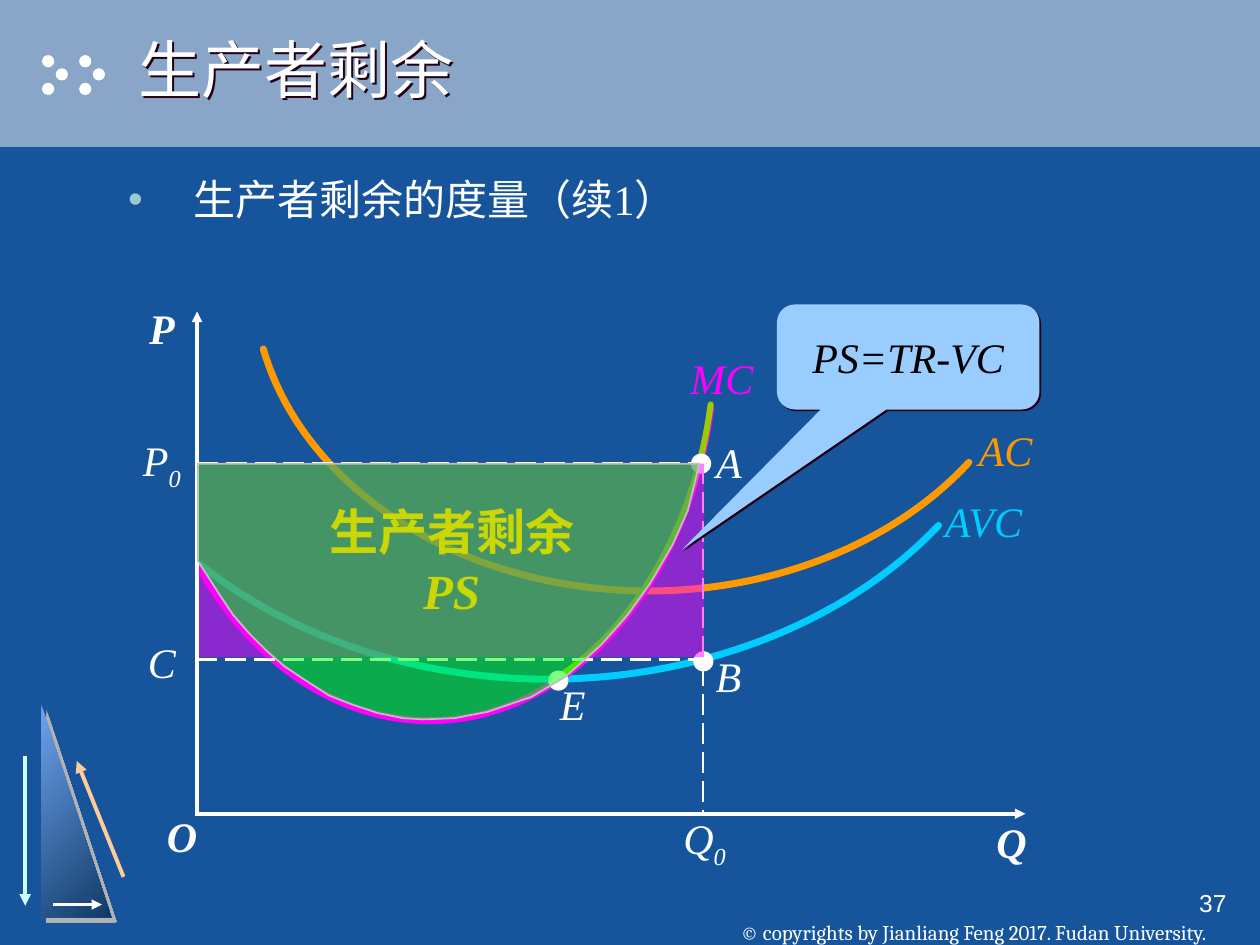
from lxml import etree
from pptx import Presentation
from pptx.dml import color as dml
from pptx.enum import dml as styles, shapes, text
from pptx.oxml import ns
from pptx.util import Pt

NAVY = dml.RGBColor(0x16, 0x55, 0x9B)
BAND = dml.RGBColor(0x89, 0xA5, 0xC7)
WHITE = dml.RGBColor(0xFF, 0xFF, 0xFF)
BLACK = dml.RGBColor(0, 0, 0)
PLUM = dml.RGBColor(0x22, 0, 0x11)
GREY = dml.RGBColor(0xB2, 0xB2, 0xB2)
SILVER = dml.RGBColor(0xC0, 0xC0, 0xC0)
SKY = dml.RGBColor(0x6F, 0xA2, 0xED)
DEEP = dml.RGBColor(0x0F, 0x3A, 0x68)
ICE = dml.RGBColor(0xCC, 0xFF, 0xFF)
PEACH = dml.RGBColor(0xFF, 0xCC, 0x99)
CYAN = dml.RGBColor(0, 0xCC, 0xFF)
ORANGE = dml.RGBColor(0xFF, 0x99, 0)
MAGENTA = dml.RGBColor(0xFF, 0, 0xFF)
OLIVE = dml.RGBColor(0x99, 0xCC, 0)
GREEN = dml.RGBColor(0, 0xFF, 0)
LIME = dml.RGBColor(0xCA, 0xD7, 0x04)
PALE = dml.RGBColor(0x99, 0xCC, 0xFF)
SERIF = "Times New Roman"

AVC = [(464.4, 144.2), (412.6, 199), (329.8, 232.1), (241.2, 232.1),
       (166.3, 232.1), (94.3, 208.3), (42.5, 166.6)]
AC = [(481.7, 108.2), (439.2, 154.3), (370.8, 181.7), (298.8, 181.7),
      (193.7, 181.7), (102.2, 124.8), (78.5, 43.4)]
MC = [(334.1, 77.3), (320.4, 180.2), (252.7, 255.8), (173.5, 255.8),
      (121.7, 255.8), (72.7, 223.4), (41.8, 168)]
SUPPLY = [(334.1, 75.1), (325.4, 142.8), (292.3, 201.1), (245.5, 232.1)]
SURPLUS = [(41, 109), (327.6, 109), (321.1, 135.6), (312.5, 155), (299.5, 177.4),
           (286.6, 195.4), (271.4, 212.6), (251.3, 230.6), (231.8, 242.2),
           (206.6, 250.8), (187.9, 254.4), (169.9, 255.1), (158.4, 254.4),
           (144, 251.5), (128.9, 246.5), (115.9, 241.4), (103.7, 233.5),
           (90.7, 224.9), (80.6, 216.2), (70.6, 206.2), (61.2, 195.4),
           (54, 184.6), (41, 164.4)]


def add_child(parent, tag, **attributes):
    """Append a DrawingML child element."""
    return etree.SubElement(parent, ns.qn("a:" + tag), attributes)


def cast_shadow(shape, color, distance):
    """Give a shape a hard shadow at 45 degrees."""
    shape_props = shape._element.spPr
    effects = shape_props.find(ns.qn("a:effectLst"))
    if effects is None:
        effects = add_child(shape_props, "effectLst")
    shadow = add_child(effects, "outerShdw", blurRad="0", dist=str(Pt(distance)),
                       dir="2700000", algn="ctr", rotWithShape="0")
    add_child(shadow, "srgbClr", val=str(color))


def add_shape(page, kind, left, top, width, height, color, alpha=None):
    """Add a borderless, shadowless filled shape."""
    shape = page.shapes.add_shape(kind, Pt(left), Pt(top), Pt(width), Pt(height))
    shape.shadow.inherit = False
    shape.line.fill.background()
    paint(shape, color, alpha)
    return shape


def paint(shape, color, alpha=None):
    """Fill a shape, optionally with an opacity in percent."""
    shape.fill.solid()
    shape.fill.fore_color.rgb = color
    if alpha:
        tint = shape._element.spPr.find(ns.qn("a:solidFill"))[0]
        add_child(tint, "alpha", val=str(alpha * 1000))


def add_line(page, start, end, color, width, arrow=False, dashed=False):
    """Add a straight line between two points."""
    line = page.shapes.add_connector(shapes.MSO_CONNECTOR.STRAIGHT,
                                     *(Pt(value) for value in (*start, *end)))
    line.line.color.rgb = color
    line.line.width = Pt(width)
    if dashed:
        line.line.dash_style = styles.MSO_LINE.LONG_DASH
    if arrow:
        add_child(line.line._get_or_add_ln(), "tailEnd", type="triangle")
    add_child(line._element.spPr, "effectLst")


def add_outline(page, box, points, color, width, closed=False):
    """Add an unfilled freeform with points relative to the box."""
    spots = [(Pt(x), Pt(y)) for x, y in points]
    builder = page.shapes.build_freeform(*spots[0])
    builder.add_line_segments(spots[1:], close=closed)
    shape = builder.convert_to_shape(Pt(box[0]), Pt(box[1]))
    shape.shadow.inherit = False
    shape.fill.background()
    shape.line.color.rgb = color
    shape.line.width = Pt(width)
    return shape


def add_curve(page, box, controls, color, width):
    """Add a smooth open curve through cubic control points."""
    shape = add_outline(page, box, controls, color, width)
    shape.line._get_or_add_ln().set("cap", "rnd")
    steps = list(shape._element.spPr.iter(ns.qn("a:lnTo")))
    track = steps[0].getparent()
    for first in range(0, len(steps), 3):
        cubic = add_child(track, "cubicBezTo")
        for step in steps[first:first + 3]:
            cubic.append(step[0])
            track.remove(step)


def format_span(span, size, font, color, bold=False, italic=False):
    """Set the look of one run."""
    span.font.size = Pt(size)
    span.font.name = font
    span.font.color.rgb = color
    span.font.bold = bold
    span.font.italic = italic


def add_text(page, left, top, width, height, words, size, font, color, align=None, **style):
    """Add an unwrapped text box with one formatted line."""
    box = page.shapes.add_textbox(Pt(left), Pt(top), Pt(width), Pt(height))
    box.text_frame.word_wrap = False
    para = box.text_frame.paragraphs[0]
    para.text = words
    para.alignment = align
    format_span(para.runs[0], size, font, color, **style)
    return box


def place(holder, left, top, width, height):
    """Move a placeholder to a box."""
    holder.left, holder.top, holder.width, holder.height = map(Pt, (left, top, width, height))


def draw_header(page, left, top, width, height):
    """Draw the band, its dots and the title."""
    add_shape(page, shapes.MSO_SHAPE.RECTANGLE, left, top, width, height, BAND)
    for start in (24, 45.2):
        for x, y in ((0, 0), (7.8, 7.5), (0, 15.8)):
            add_shape(page, shapes.MSO_SHAPE.OVAL, left + start + x, top + 31.5 + y, 7, 7, WHITE)
    title = page.shapes.title
    place(title, left + 72, top, width - 72, 78)
    title._element.getparent().append(title._element)
    title.fill.background()
    cast_shadow(title, PLUM, 1.4)
    title.text_frame.text = "生产者剩余"
    title.text_frame.vertical_anchor = text.MSO_ANCHOR.MIDDLE
    para = title.text_frame.paragraphs[0]
    para.alignment = text.PP_ALIGN.LEFT
    format_span(para.runs[0], 36, "Arial", WHITE)


def draw_body(page, left, top, width, height):
    """Fill the body placeholder with its bullet line."""
    body = page.placeholders[1]
    place(body, left, top, width, height)
    body.text_frame.text = "生产者剩余的度量（续1）"
    para = body.text_frame.paragraphs[0]
    para.space_before = Pt(0)
    props = para._p.get_or_add_pPr()
    props.set("marL", str(Pt(37.5)))
    props.set("indent", str(Pt(-37.5)))
    add_child(add_child(props, "buClr"), "srgbClr", val="99CCCC")
    add_child(props, "buChar", char="•")
    format_span(para.runs[0], 24, SERIF, WHITE)


def draw_ornament(page, left, top, width, height):
    """Draw the shaded triangle with its three arrows."""
    wedge = add_shape(page, shapes.MSO_SHAPE.RIGHT_TRIANGLE, left, top, width, height, SKY)
    wedge.fill.gradient()
    wedge.fill.gradient_angle = 315
    for stop, color in zip(wedge.fill.gradient_stops, (SKY, DEEP)):
        stop.color.rgb = color
    cast_shadow(wedge, GREY, 4.2)
    for start, end, color, weight in (((-9.2, 29.4), (-9.2, 115), ICE, 2.25),
                                      ((47, 98.5), (20.3, 32.3), PEACH, 2.25),
                                      ((6.8, 114.3), (34.7, 114.3), WHITE, 1.5)):
        add_line(page, (left + start[0], top + start[1]), (left + end[0], top + end[1]),
                 color, weight, arrow=True)


def draw_footer(page, left, top, width, height):
    """Write the copyright line and the page number."""
    credit = add_text(page, left, top, width, height,
                      "© copyrights by Jianliang Feng 2017. Fudan University.",
                      12, "Cambria", WHITE, text.PP_ALIGN.CENTER)
    credit.text_frame.vertical_anchor = text.MSO_ANCHOR.BOTTOM
    credit.text_frame.margin_top = credit.text_frame.margin_bottom = Pt(0)
    add_text(page, left + 166.6, top, 150, height, "37", 14, "Arial", WHITE, text.PP_ALIGN.RIGHT)


def draw_diagram(page, left, top):
    """Draw the cost curves, the surplus area and their labels."""
    box = (left, top)
    for controls, color, weight in ((AVC, CYAN, 4), (AC, ORANGE, 4),
                                    (MC, MAGENTA, 4), (SUPPLY, OLIVE, 3.5)):
        add_curve(page, box, controls, color, weight)
    for start, end, arrow in (((40.6, 309), (40.6, 22), True), ((39.7, 309), (514, 309), True),
                              ((40, 220.8), (327, 220.8), False),
                              ((40.4, 108.5), (327.6, 108.5), False),
                              ((329.8, 108.4), (329.8, 309), False)):
        add_line(page, (left + start[0], top + start[1]), (left + end[0], top + end[1]),
                 WHITE, 2 if arrow else 1.5, arrow=arrow, dashed=not arrow)
    for x, y in ((241.3, 227.2), (324.2, 216.2), (322.9, 103.2)):
        add_shape(page, shapes.MSO_SHAPE.OVAL, left + x, top + y, 11.5, 11.5, WHITE)
    add_shape(page, shapes.MSO_SHAPE.RECTANGLE, left + 41.8, top + 109, 288.5, 110.5, MAGENTA, 50)
    paint(add_outline(page, box, SURPLUS, SILVER, 1, closed=True), GREEN, 50)
    draw_labels(page, left, top)


def draw_labels(page, left, top):
    """Write the curve, axis, point and area names."""
    for words, x, y, width, color, bold in (
            ("AVC", 460.8, 123.8, 60, CYAN, False), ("AC", 480.2, 83, 45.5, ORANGE, False),
            ("MC", 315.4, 42, 52, MAGENTA, False), ("P", 6.1, 13.2, 29, WHITE, True),
            ("O", 16.2, 303.8, 32, WHITE, True), ("Q", 490.3, 307, 32, WHITE, True),
            ("E", 240.9, 228, 30, WHITE, False), ("B", 329.8, 212, 30, WHITE, False),
            ("C", 5.5, 204, 30.5, WHITE, False), ("A", 330.1, 90.2, 30, WHITE, False),
            ("P0", 2.6, 88.8, 36, WHITE, False), ("Q0", 311.4, 304.8, 39, WHITE, False)):
        label = add_text(page, left + x, top + y, width, 36, words.rstrip("0"),
                         24, SERIF, color, bold=bold, italic=True)
        if words.endswith("0"):
            span = label.text_frame.paragraphs[0].add_run()
            span.text = "0"
            format_span(span, 24, SERIF, color, italic=True)
            span.font._element.set("baseline", "-25000")
    area = add_text(page, left + 109.1, top + 127, 154, 75, "生产者剩余", 28, "Arial", LIME,
                    text.PP_ALIGN.CENTER, bold=True)
    para = area.text_frame.add_paragraph()
    para.text = "PS"
    para.alignment = text.PP_ALIGN.CENTER
    format_span(para.runs[0], 28, SERIF, LIME, bold=True, italic=True)


def draw_callout(page, left, top, width, height):
    """Draw the speech bubble with the surplus formula."""
    bubble = add_shape(page, shapes.MSO_SHAPE.ROUNDED_RECTANGULAR_CALLOUT,
                       left, top, width, height, PALE)
    for index, value in enumerate((-0.86, 1.83, 0.17)):
        bubble.adjustments[index] = value
    cast_shadow(bubble, PLUM, 1.4)
    bubble.text_frame.text = "PS=TR-VC"
    bubble.text_frame.vertical_anchor = text.MSO_ANCHOR.MIDDLE
    para = bubble.text_frame.paragraphs[0]
    para.alignment = text.PP_ALIGN.CENTER
    format_span(para.runs[0], 24, SERIF, BLACK, italic=True)


def main():
    """Build the slide and save the deck."""
    deck = Presentation()
    deck.slide_width, deck.slide_height = Pt(720), Pt(540)
    page = deck.slides.add_slide(deck.slide_layouts[1])
    page.background.fill.solid()
    page.background.fill.fore_color.rgb = NAVY
    draw_header(page, 0, 0, 720, 84)
    draw_body(page, 66, 95.8, 588, 360)
    draw_ornament(page, 23.6, 402.6, 40, 121.4)
    draw_footer(page, 391.4, 504, 330, 36)
    draw_diagram(page, 72, 156)
    draw_callout(page, 444, 174, 150, 60)
    deck.save("out.pptx")


if __name__ == "__main__":
    main()
